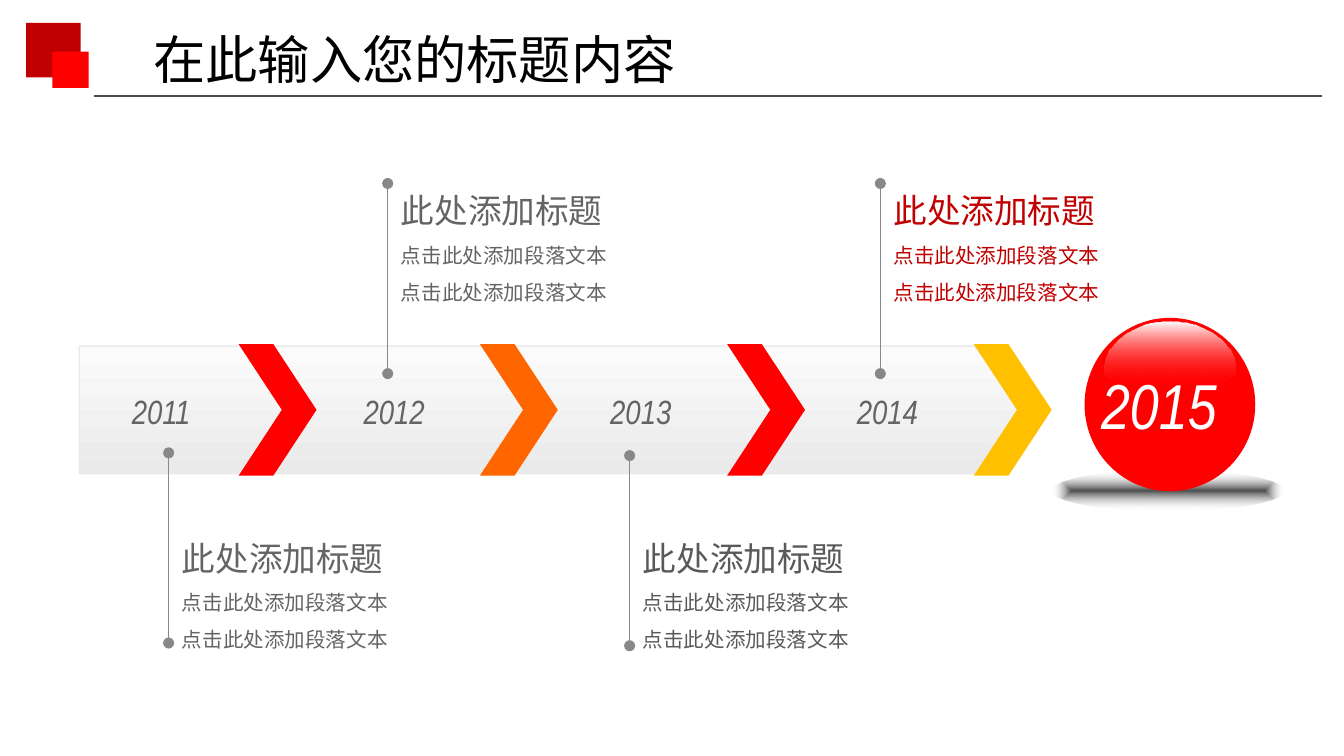
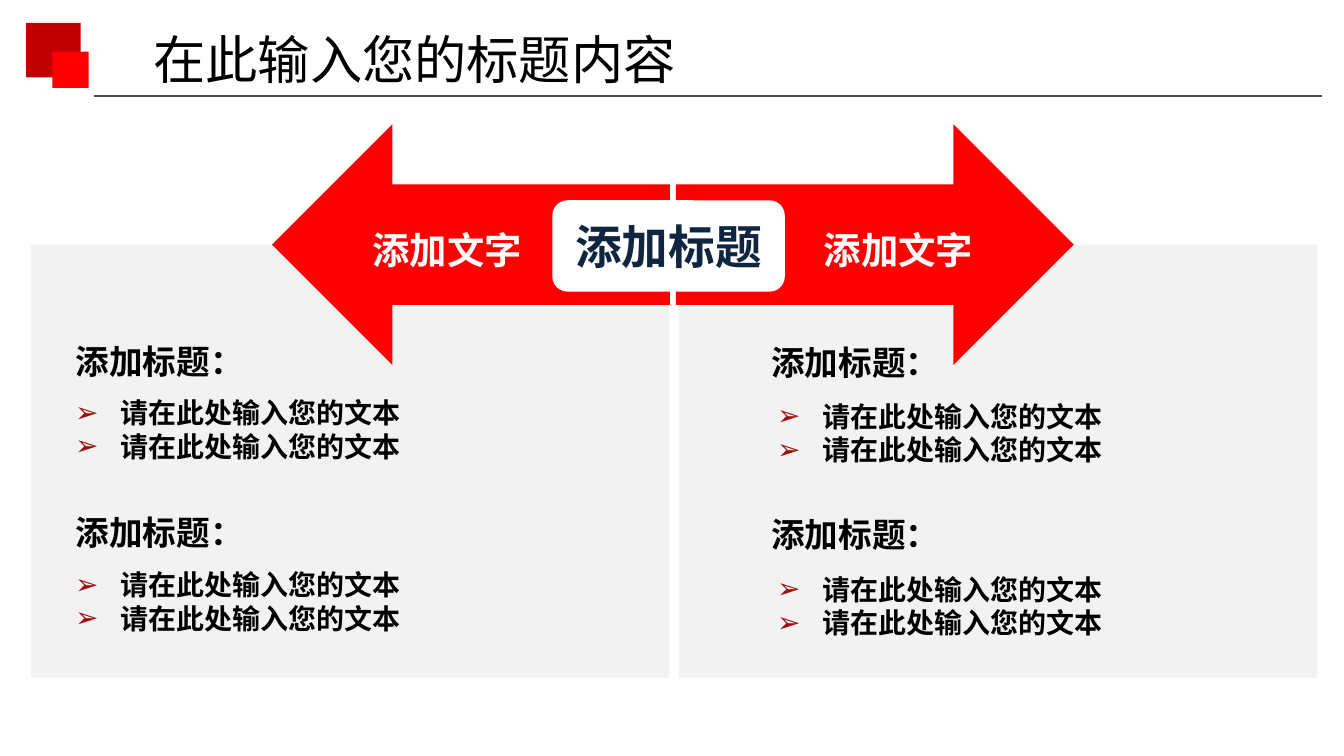
from dataclasses import dataclass
from math import cos, pi, sin

from lxml.etree import SubElement
from pptx import Presentation
from pptx.dml.color import RGBColor
from pptx.enum.shapes import MSO_CONNECTOR, MSO_SHAPE
from pptx.enum.text import MSO_AUTO_SIZE, PP_ALIGN
from pptx.oxml import parse_xml
from pptx.oxml.ns import nsdecls, qn
from pptx.util import Pt

PX = 4572


@dataclass(frozen=True)
class Theme:
    red: str = "FF0000"
    dark_red: str = "C00000"
    orange: str = "FF6600"
    yellow: str = "FFC000"
    white: str = "FFFFFF"
    black: str = "000000"
    navy: str = "10253F"
    bullet: str = "9D0B0B"
    rule: str = "4D4948"
    pin: str = "888888"
    gray: str = "646464"
    dark_gray: str = "595959"
    panel: str = "F2F2F2"
    band_top: str = "FBFBFB"
    band_bottom: str = "EAEAEA"
    font: str = "Noto Sans CJK SC"
    callout_font: str = "Arial"
    year_font: str = "Arial Narrow"
    title_size: int = 28
    ball_size: int = 34
    center_size: int = 25
    arrow_size: int = 20
    heading_size: int = 18
    item_size: int = 15
    detail_size: int = 11


theme = Theme()


def paint(shape, fill, direction='<a:lin ang="5400000" scaled="0"/>'):
    shape.shadow.inherit = False
    shape.line.fill.background()
    if isinstance(fill, str):
        shape.fill.solid()
        shape.fill.fore_color.rgb = RGBColor.from_string(fill)
        return
    stops = "".join(
        f'<a:gs pos="{position * 1000}"><a:srgbClr val="{color}">'
        f'<a:alpha val="{alpha * 1000}"/></a:srgbClr></a:gs>'
        for position, color, alpha in fill
    )
    gradient = parse_xml(
        f'<a:gradFill {nsdecls("a")} rotWithShape="1"><a:gsLst>{stops}</a:gsLst>'
        f"{direction}</a:gradFill>"
    )
    shape.fill.background()
    properties = shape._element.spPr
    properties.replace(properties.find(qn("a:noFill")), gradient)


def write(shape, lines, sizes, color, font=theme.font, bold=False, italic=False,
          align=PP_ALIGN.LEFT, spacing=None, wrap=True, grow=True,
          insets=(20, 10, 20, 10), bulleted=False):
    frame = shape.text_frame
    frame.word_wrap = wrap
    frame.auto_size = MSO_AUTO_SIZE.SHAPE_TO_FIT_TEXT if grow else MSO_AUTO_SIZE.NONE
    (frame.margin_left, frame.margin_top,
     frame.margin_right, frame.margin_bottom) = [inset * PX for inset in insets]
    frame.text = "\n".join(lines)
    for paragraph, size in zip(frame.paragraphs, sizes):
        paragraph.alignment = align
        if spacing:
            paragraph.line_spacing = spacing
        if bulleted:
            properties = paragraph._p.get_or_add_pPr()
            properties.set("marL", str(68 * PX))
            properties.set("indent", str(-68 * PX))
            bullet_color = SubElement(properties, qn("a:buClr"))
            SubElement(bullet_color, qn("a:srgbClr"), val=theme.bullet)
            SubElement(properties, qn("a:buFont"), typeface=theme.callout_font)
            SubElement(properties, qn("a:buChar"), char="➢")
        run = paragraph.runs[0]
        run.font.size = Pt(size)
        run.font.bold = bold
        run.font.italic = italic
        run.font.color.rgb = RGBColor.from_string(color)
        run.font.name = font
        SubElement(run._r.get_or_add_rPr(), qn("a:ea"), typeface=theme.font)


presentation = Presentation()
presentation.slide_width = 2000 * PX
presentation.slide_height = 1125 * PX
connectors = []

for _ in range(2):
    slide = presentation.slides.add_slide(presentation.slide_layouts[6])
    for left, top, side, color in ((39, 34, 81, theme.dark_red), (78, 77, 54, theme.red)):
        square = slide.shapes.add_shape(
            MSO_SHAPE.RECTANGLE, left * PX, top * PX, side * PX, side * PX)
        paint(square, color)
    rule = slide.shapes.add_connector(
        MSO_CONNECTOR.STRAIGHT, 1967 * PX, 143 * PX, 140 * PX, 143 * PX)
    connectors.append((rule, theme.rule, False))
    title = slide.shapes.add_textbox(209 * PX, 31 * PX, 848 * PX, 114 * PX)
    write(title, ["在此输入您的标题内容"], [theme.title_size], theme.black)

timeline, comparison = presentation.slides

ball = timeline.shapes.add_group_shape()
ball_shadow = ball.shapes.add_shape(
    MSO_SHAPE.OVAL, 1565 * PX, 700 * PX, 346 * PX, 60 * PX)
paint(ball_shadow, [(0, theme.black, 70), (100, theme.white, 0)],
      '<a:path path="shape"><a:fillToRect l="50000" t="50000" r="50000" b="50000"/></a:path>')
sphere = ball.shapes.add_shape(MSO_SHAPE.OVAL, 1614 * PX, 473 * PX, 254 * PX, 258 * PX)
paint(sphere, theme.red)
gloss_points = []
for step in range(48):
    angle = 2 * pi * step / 48
    depth = 26 if sin(angle) > 0 else 72
    gloss_points.append((round(1741 + 98 * cos(angle)), round(550 + depth * sin(angle))))
builder = ball.shapes.build_freeform(*gloss_points[0], scale=PX)
builder.add_line_segments(gloss_points[1:], close=True)
gloss = builder.convert_to_shape()
paint(gloss, [(0, theme.white, 100), (100, theme.red, 0)])
ball_year = ball.shapes.add_textbox(1619 * PX, 535 * PX, 228 * PX, 134 * PX)
write(ball_year, ["2015"], [theme.ball_size], theme.white, theme.year_font,
      italic=True, wrap=False)

band = timeline.shapes.add_shape(
    MSO_SHAPE.PENTAGON, 118 * PX, 515 * PX, 1408 * PX, 190 * PX)
band.adjustments[0] = 0.4
paint(band, [(0, theme.band_top, 100), (100, theme.band_bottom, 100)])
band.line.color.rgb = RGBColor.from_string(theme.band_bottom)
band.line.width = Pt(0.75)

milestones = (
    ("2011", 178, 130, 355, theme.red),
    ("2012", 523, 136, 714, theme.orange),
    ("2013", 890, 138, 1082, theme.red),
    ("2014", 1257, 136, 1449, theme.yellow),
)
for year, year_left, year_width, chevron_left, color in milestones:
    chevron = timeline.shapes.add_shape(
        MSO_SHAPE.CHEVRON, chevron_left * PX, 512 * PX, 116 * PX, 196 * PX)
    chevron.adjustments[0] = 0.555
    paint(chevron, color)
    label = timeline.shapes.add_textbox(year_left * PX, 572 * PX, year_width * PX, 82 * PX)
    write(label, [year], [theme.heading_size], theme.gray, theme.year_font,
          italic=True, wrap=False, insets=(18, 10, 18, 10))

callouts = (
    (251, 674, 760, theme.gray),
    (577, 273, 243, theme.gray),
    (937, 678, 760, theme.dark_gray),
    (1310, 273, 243, theme.dark_red),
)
for left, pin_top, text_top, color in callouts:
    callout = timeline.shapes.add_group_shape()
    pin = callout.shapes.add_connector(
        MSO_CONNECTOR.STRAIGHT, left * PX, pin_top * PX, left * PX, (pin_top + 283) * PX)
    connectors.append((pin, theme.pin, True))
    note = callout.shapes.add_textbox(left * PX, text_top * PX, 396 * PX, 228 * PX)
    write(note, ["此处添加标题"] + ["点击此处添加段落文本"] * 2,
          [theme.heading_size, theme.detail_size, theme.detail_size],
          color, theme.callout_font, spacing=1.5)

for left in (1010, 46):
    panel = comparison.shapes.add_shape(
        MSO_SHAPE.RECTANGLE, left * PX, 364 * PX, 950 * PX, 645 * PX)
    paint(panel, theme.panel)

columns = (
    (93, 92, 578, ((497, 579), (752, 835))),
    (1128, 1137, 552, ((499, 584), (755, 842))),
)
for heading_left, items_left, items_width, sections in columns:
    column = comparison.shapes.add_group_shape()
    for heading_top, items_top in sections:
        items = column.shapes.add_textbox(
            items_left * PX, items_top * PX, items_width * PX, 122 * PX)
        write(items, ["请在此处输入您的文本"] * 2, [theme.item_size] * 2, theme.black,
              bold=True, bulleted=True)
        heading = column.shapes.add_textbox(
            heading_left * PX, heading_top * PX, 292 * PX, 80 * PX)
        write(heading, ["添加标题："], [theme.heading_size], theme.black,
              bold=True, wrap=False)

for left, flipped, insets in ((1006, False, (160, 0, 0, 0)), (405, True, (0, 0, 160, 0))):
    arrow = comparison.shapes.add_shape(
        MSO_SHAPE.RIGHT_ARROW, left * PX, 185 * PX, 592 * PX, 358 * PX)
    paint(arrow, theme.red)
    if flipped:
        arrow._element.spPr.xfrm.set("flipH", "1")
    write(arrow, ["添加文字"], [theme.arrow_size], theme.white, bold=True,
          align=PP_ALIGN.CENTER, spacing=1.2, grow=False, insets=insets)

center = comparison.shapes.add_shape(
    MSO_SHAPE.ROUNDED_RECTANGLE, 822 * PX, 298 * PX, 346 * PX, 136 * PX)
paint(center, theme.white)
write(center, ["添加标题"], [theme.center_size], theme.navy, bold=True,
      align=PP_ALIGN.CENTER, grow=False)

for connector, color, dotted in connectors:
    connector.line.color.rgb = RGBColor.from_string(color)
    connector.line.width = Pt(0.75)
    if dotted:
        for end in ("a:headEnd", "a:tailEnd"):
            SubElement(connector.line._get_or_add_ln(), qn(end), type="oval")
    SubElement(connector._element.spPr, qn("a:effectLst"))

presentation.save("out.pptx")
